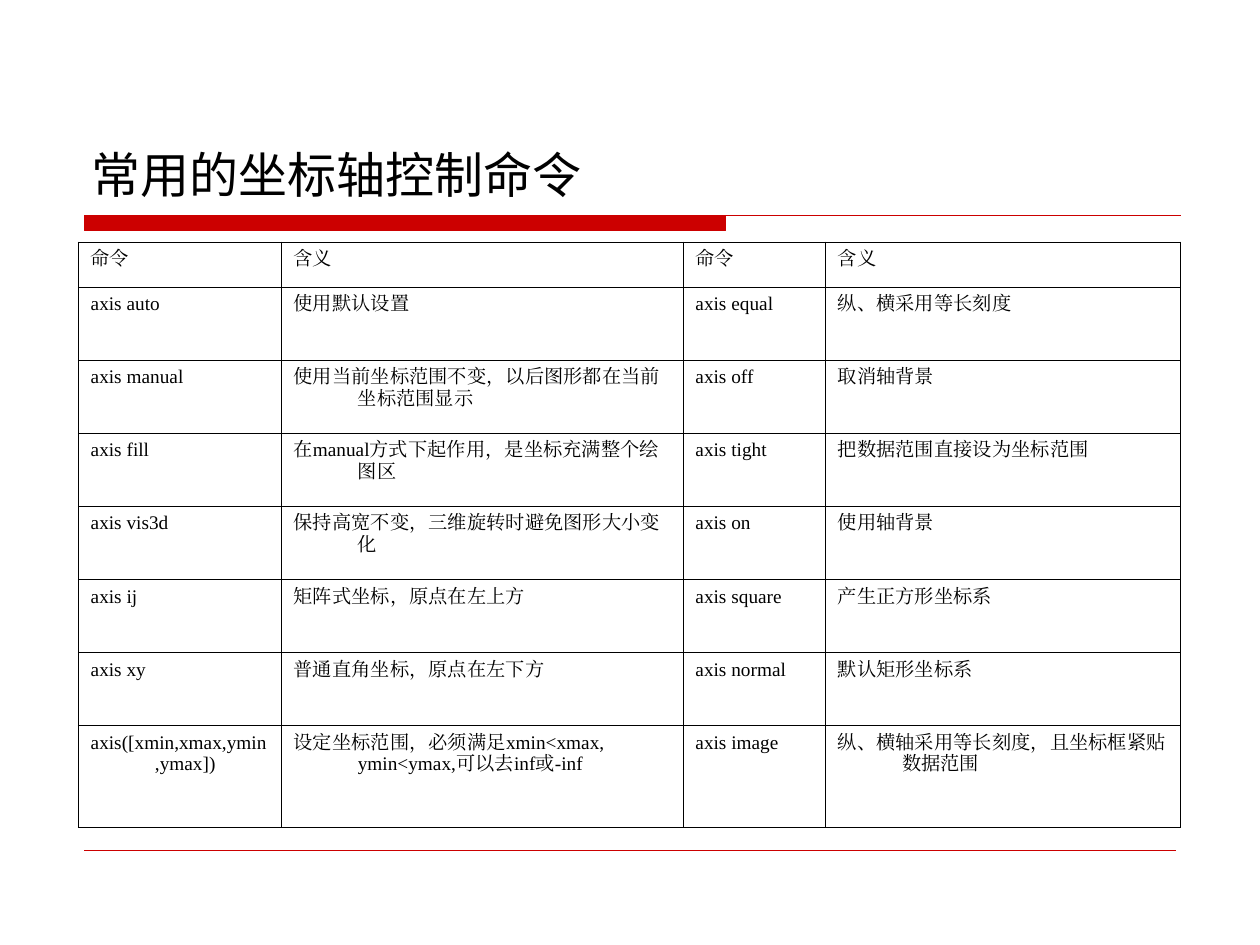
from dataclasses import dataclass
from typing import NamedTuple

import pptx
import pptx.dml.color
import pptx.enum.shapes
import pptx.enum.text
import pptx.oxml
import pptx.oxml.ns
import pptx.util

Inches = pptx.util.Inches
Pt = pptx.util.Pt
RGB = pptx.dml.color.RGBColor


@dataclass(frozen=True)
class Theme:
    ink: RGB = RGB(0, 0, 0)
    accent: RGB = RGB(0xCC, 0, 0)
    title_font: str = "DejaVu Sans"
    body_font: str = "Times New Roman"
    title_size: float = 28
    body_size: float = 11
    rule_width: float = 0.75
    footer_width: float = 0.25
    border_width: float = 0.45


class Row(NamedTuple):
    command: str
    meaning: str
    command2: str
    meaning2: str
    height: float = 0.58


THEME = Theme()
COLUMN_WIDTHS = (1.61, 3.19, 1.13, 2.82)
HANGING = 0.51
ROWS = (
    Row("命令", "含义", "命令", "含义", 0.36),
    Row("axis auto", "使用默认设置", "axis equal", "纵、横采用等长刻度"),
    Row("axis manual", "使用当前坐标范围不变，以后图形都在当前坐标范围显示",
        "axis off", "取消轴背景"),
    Row("axis fill", "在manual方式下起作用，是坐标充满整个绘图区",
        "axis tight", "把数据范围直接设为坐标范围"),
    Row("axis vis3d", "保持高宽不变，三维旋转时避免图形大小变化", "axis on", "使用轴背景"),
    Row("axis ij", "矩阵式坐标，原点在左上方", "axis square", "产生正方形坐标系"),
    Row("axis xy", "普通直角坐标，原点在左下方", "axis normal", "默认矩形坐标系"),
    Row("axis([xmin,xmax,ymin,ymax])",
        "设定坐标范围，必须满足xmin<xmax, ymin<ymax,可以去inf或-inf",
        "axis image", "纵、横轴采用等长刻度，且坐标框紧贴数据范围", 0.81),
)


def add_run(p, text: str, font: str, size: float) -> None:
    r = p.add_run()
    r.text = text
    r.font.name = font
    r.font.size = Pt(size)
    r.font.color.rgb = THEME.ink
    ea = pptx.oxml.parse_xml(f'<a:ea {pptx.oxml.ns.nsdecls("a")} typeface="{font}"/>')
    r.font._element.find(pptx.oxml.ns.qn("a:latin")).addnext(ea)


def add_title_rule(s) -> None:
    """Draw the thick bar and the thin line that runs on to the right margin."""
    left, top, right = Inches(0.67), Inches(1.71), Inches(9.37)
    bar_right, bar_bottom = Inches(5.76), Inches(1.83)
    builder = s.shapes.build_freeform(left, top)
    builder.add_line_segments(
        [(bar_right, top), (bar_right, bar_bottom), (left, bar_bottom)], close=True)
    builder.move_to(left, top)
    builder.add_line_segments([(right, top)], close=False)
    sp = builder.convert_to_shape()
    sp.shadow.inherit = False
    sp.fill.solid()
    sp.fill.fore_color.rgb = THEME.accent
    sp.line.color.rgb = THEME.accent
    sp.line.width = Pt(THEME.rule_width)


def add_footer_line(s) -> None:
    line = s.shapes.add_connector(
        pptx.enum.shapes.MSO_CONNECTOR.STRAIGHT,
        Inches(0.67), Inches(6.75), Inches(9.33), Inches(6.75))
    line.line.color.rgb = THEME.accent
    line.line.width = Pt(THEME.footer_width)
    line._element.spPr.append(
        pptx.oxml.parse_xml(f'<a:effectLst {pptx.oxml.ns.nsdecls("a")}/>'))


def add_title(s, text: str) -> None:
    sp = s.shapes.add_textbox(Inches(0.63), Inches(0.33), Inches(8.75), Inches(1.33))
    tf = sp.text_frame
    tf.word_wrap = True
    tf.vertical_anchor = pptx.enum.text.MSO_ANCHOR.BOTTOM
    add_run(tf.paragraphs[0], text, THEME.title_font, THEME.title_size)


def add_borders(cell) -> None:
    tc_pr = cell._tc.get_or_add_tcPr()
    for side in "LRTB":
        tc_pr.append(pptx.oxml.parse_xml(
            f'<a:ln{side} {pptx.oxml.ns.nsdecls("a")} w="{Pt(THEME.border_width)}">'
            f'<a:solidFill><a:srgbClr val="{THEME.ink}"/></a:solidFill></a:ln{side}>'))


def fill_cell(cell, text: str) -> None:
    cell.margin_left = cell.margin_right = Inches(0.1)
    cell.margin_top = cell.margin_bottom = Inches(0.05)
    add_borders(cell)
    cell.fill.background()
    p = cell.text_frame.paragraphs[0]
    p_pr = p._p.get_or_add_pPr()
    p_pr.set("marL", str(Inches(HANGING)))
    p_pr.set("indent", str(-Inches(HANGING)))
    add_run(p, text, THEME.body_font, THEME.body_size)


def add_command_table(s) -> None:
    height = sum(row.height for row in ROWS)
    table = s.shapes.add_table(
        len(ROWS), len(COLUMN_WIDTHS), Inches(0.62), Inches(1.92),
        Inches(sum(COLUMN_WIDTHS)), Inches(height)).table
    table.first_row = table.horz_banding = False
    for column, width in zip(table.columns, COLUMN_WIDTHS):
        column.width = Inches(width)
    for table_row, row in zip(table.rows, ROWS):
        table_row.height = Inches(row.height)
        for cell, text in zip(table_row.cells, row):
            fill_cell(cell, text)


def main() -> None:
    prs = pptx.Presentation()
    prs.slide_width, prs.slide_height = Inches(10), Inches(7.5)
    s = prs.slides.add_slide(prs.slide_layouts[6])
    add_title_rule(s)
    add_footer_line(s)
    add_title(s, "常用的坐标轴控制命令")
    add_command_table(s)
    prs.save("out.pptx")


if __name__ == "__main__":
    main()
